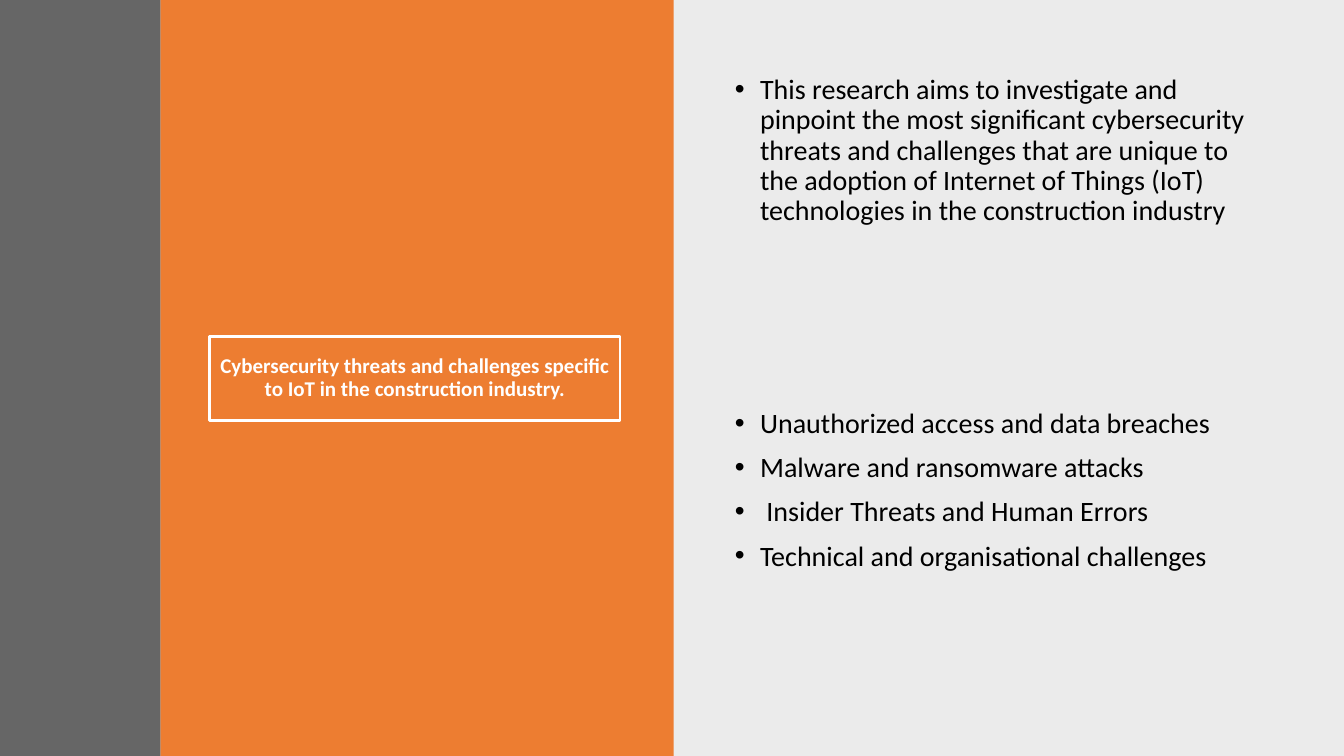
from lxml import etree
from pptx import Presentation
from pptx import util as u
from pptx.dml.color import RGBColor
from pptx.enum import shapes, text
from pptx.oxml import ns


def color(hex_code):
    """Turn a hex string into a colour."""
    return RGBColor.from_string(hex_code)


def add_bullet(paragraph, indent=0.25):
    """Give a paragraph a hanging round bullet."""
    properties = paragraph._p.get_or_add_pPr()
    properties.set("marL", str(u.Inches(indent)))
    properties.set("indent", str(-u.Inches(indent)))
    etree.SubElement(properties, ns.qn("a:buFont"), typeface="Arial")
    etree.SubElement(properties, ns.qn("a:buChar"), char="•")


def write(frame, lines, size=20, ink="000000", bold=False, bullet=False,
          align=text.PP_ALIGN.LEFT, anchor=text.MSO_ANCHOR.TOP):
    """Fill a text frame with one paragraph per line."""
    frame.word_wrap = True
    frame.vertical_anchor = anchor
    for index, line in enumerate(lines):
        paragraph = frame.add_paragraph() if index else frame.paragraphs[0]
        paragraph.alignment = align
        paragraph.line_spacing = 0.9
        paragraph.space_before = u.Pt(10 if index else 0)
        if bullet:
            add_bullet(paragraph)
        run = paragraph.add_run()
        run.text = line
        run.font.name = "Calibri"
        run.font.size = u.Pt(size)
        run.font.bold = bold
        run.font.color.rgb = color(ink)


class SplitSlide:
    """Hold the slide and draw its panels, title and lists."""

    def __init__(self, slide, height):
        """Keep the slide and its height."""
        self.slide = slide
        self.height = height

    def rectangle(self, left, top, width, height):
        """Add a plain rectangle."""
        box = self.slide.shapes.add_shape(
            shapes.MSO_SHAPE.RECTANGLE, u.Inches(left), u.Inches(top),
            u.Inches(width), u.Inches(height))
        box.shadow.inherit = False
        return box

    def panel(self, left, width, fill, opacity=100):
        """Add a full-height colour panel."""
        panel = self.rectangle(left, 0, width, self.height)
        panel.line.fill.background()
        panel.fill.solid()
        panel.fill.fore_color.rgb = color(fill)
        if opacity < 100:
            tint = panel._element.spPr.find(".//" + ns.qn("a:srgbClr"))
            etree.SubElement(tint, ns.qn("a:alpha"), val=str(opacity * 1000))

    def title(self, left, top, width, height, line):
        """Add the outlined title."""
        title = self.rectangle(left, top, width, height)
        title.fill.background()
        title.line.color.rgb = color("FFFFFF")
        title.line.width = u.Pt(2)
        write(title.text_frame, [line], size=15, ink="FFFFFF", bold=True,
              align=text.PP_ALIGN.CENTER, anchor=text.MSO_ANCHOR.MIDDLE)

    def bullets(self, top, lines):
        """Add a bulleted list in the right panel."""
        box = self.slide.shapes.add_textbox(
            u.Inches(7.19), u.Inches(top), u.Inches(5.53), u.Inches(2.79))
        write(box.text_frame, lines, bullet=True)


def main():
    """Build and save the slide."""
    deck = Presentation()
    deck.slide_width = u.Inches(13.33)
    deck.slide_height = u.Inches(7.5)
    threats = SplitSlide(deck.slides.add_slide(deck.slide_layouts[6]), 7.5)

    threats.panel(6.67, 6.66, "000000", opacity=8)
    threats.panel(1.59, 5.09, "ED7D31")
    threats.title(2.08, 3.34, 4.07, 0.83,
                  "Cybersecurity threats and challenges specific to IoT "
                  "in the construction industry.")
    threats.panel(0, 1.59, "404040", opacity=80)
    threats.bullets(0.7, [
        "This research aims to investigate and pinpoint the most significant "
        "cybersecurity threats and challenges that are unique to the adoption "
        "of Internet of Things (IoT) technologies in the construction industry"])
    threats.bullets(4.01, [
        "Unauthorized access and data breaches",
        "Malware and ransomware attacks",
        " Insider Threats and Human Errors",
        "Technical and organisational challenges"])

    deck.save("out.pptx")


if __name__ == "__main__":
    main()
